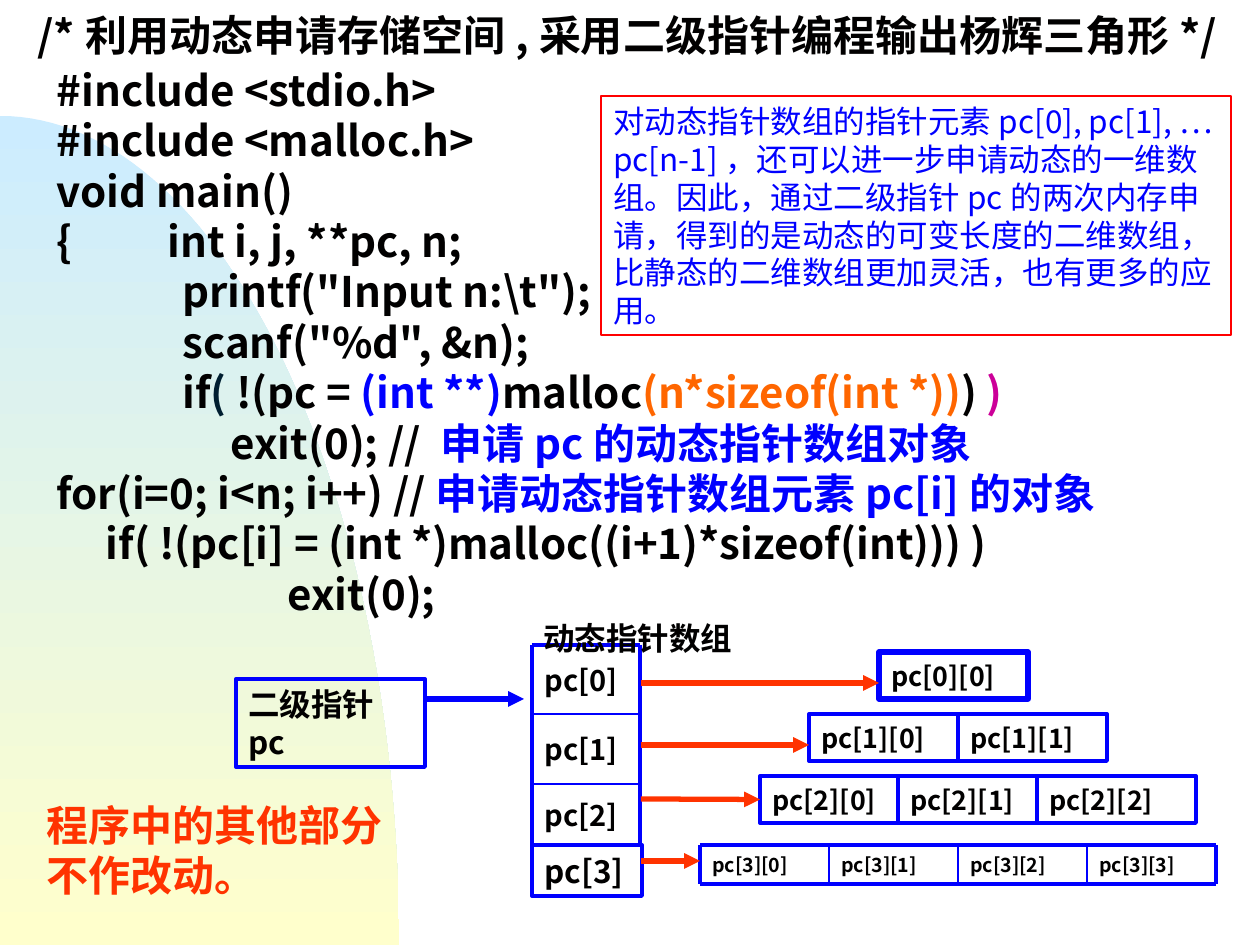
import math

from lxml import etree
from pptx import Presentation
from pptx.dml.color import RGBColor
from pptx.enum.shapes import MSO_CONNECTOR, MSO_SHAPE
from pptx.enum.text import MSO_ANCHOR, MSO_AUTO_SIZE, PP_ALIGN
from pptx.oxml.ns import qn
from pptx.util import Emu, Pt

STRAIGHT = MSO_CONNECTOR.STRAIGHT
RECTANGLE = MSO_SHAPE.RECTANGLE
TOP, MIDDLE = MSO_ANCHOR.TOP, MSO_ANCHOR.MIDDLE
LEFT = PP_ALIGN.LEFT
NO_AUTOFIT = MSO_AUTO_SIZE.NONE
EMU_PER_PX = 914400 / 126
FONT = "Noto Sans CJK SC"
BLACK, BLUE, RED, ORANGE = "010000", "0000FF", "FF3300", "FF6600"

CODE = [
    (0, [("#include <stdio.h>", BLACK)]),
    (0, [("#include <malloc.h>", BLACK)]),
    (0, [("void main()", BLACK)]),
    (0, [("{          int i, j, **pc, n;", BLACK)]),
    (126, [('printf("Input n:\\t");', BLACK)]),
    (126, [('scanf("%d", &n);', BLACK)]),
    (126, [("if", BLACK), ("(", "001E30"), (" !(pc = ", BLACK), ("(int **)", BLUE),
           ("malloc", BLACK), ("(n*sizeof(int *))", ORANGE), (") ", BLACK), (")", "CC0099")]),
    (174, [("exit(0); // ", BLACK), ("申请pc的动态指针数组对象", BLUE)]),
    (0, [("for(i=0; i<n; i++) //", BLACK), ("申请动态指针数组元素pc[i]的对象", BLUE)]),
    (49, [("if( !(pc[i] = (int *)malloc((i+1)*sizeof(int))) )", BLACK)]),
    (231, [("exit(0);", BLACK)]),
]
NOTE = ("对动态指针数组的指针元素pc[0], pc[1], …pc[n-1]，还可以进一步申请动态的一维数组。"
        "因此，通过二级指针pc的两次内存申请，得到的是动态的可变长度的二维数组，"
        "比静态的二维数组更加灵活，也有更多的应用。")


def px(value):
    return Emu(round(value * EMU_PER_PX))


def rgb(color):
    return RGBColor.from_string(color)


def format_paragraph(paragraph, size, colors, bold):
    paragraph.alignment = LEFT
    paragraph.space_before = Pt(0)
    paragraph.line_spacing = Pt(round(size * 1.2, 1))
    for run, color in zip(paragraph.runs, colors):
        run.font.size = Pt(size)
        run.font.bold = bold
        run.font.name = FONT
        run.font.color.rgb = rgb(color)
        etree.SubElement(run.font._element, qn("a:ea")).set("typeface", FONT)


def format_frame(frame, anchor=TOP):
    frame.word_wrap = True
    frame.auto_size = NO_AUTOFIT
    frame.vertical_anchor = anchor


def write(shape, text, size, color=BLACK, bold=True, anchor=TOP):
    shape.text_frame.text = text
    format_frame(shape.text_frame, anchor)
    format_paragraph(shape.text_frame.paragraphs[0], size, [color], bold)


def place(shape, left, top, width, height):
    shape.left, shape.top = px(left), px(top)
    shape.width, shape.height = px(width), px(height)


def add_label(slide, bounds, text, size, color=BLACK, anchor=TOP):
    label = slide.shapes.add_textbox(*map(px, bounds))
    write(label, text, size, color, anchor=anchor)


def add_box(slide, bounds, text, size, outline=BLUE, weight=2.25, color=BLACK,
            bold=True, anchor=MIDDLE):
    box = slide.shapes.add_shape(RECTANGLE, *map(px, bounds))
    box.shadow.inherit = False
    box.fill.background()
    box.line.color.rgb = rgb(outline)
    box.line.width = Pt(weight)
    write(box, text, size, color, bold, anchor)
    return box


def add_line(slide, start, end, color=BLUE, weight=2.25, arrow=False):
    line = slide.shapes.add_connector(STRAIGHT, *map(px, start + end))
    line.line.color.rgb = rgb(color)
    line.line.width = Pt(weight)
    if arrow:
        etree.SubElement(line.line._get_or_add_ln(), qn("a:tailEnd")).set("type", "triangle")
    etree.SubElement(line._element.spPr, qn("a:effectLst"))
    return line


def add_backdrop(slide):
    width, top, bottom, steps = 399, 116, 945, 60
    angles = [math.pi / 2 * step / steps for step in range(1, steps + 1)]
    arc = [(px(width * math.sin(a)), px(bottom - (bottom - top) * math.cos(a))) for a in angles]
    builder = slide.shapes.build_freeform(px(0), px(top))
    builder.add_line_segments(arc + [(px(0), px(bottom))], close=True)
    backdrop = builder.convert_to_shape()
    backdrop.shadow.inherit = False
    backdrop.line.fill.background()
    backdrop.fill.gradient()
    backdrop.fill.gradient_angle = 270
    for stop, color in zip(backdrop.fill.gradient_stops, ("CCECFF", "FFFFCC")):
        stop.color.rgb = rgb(color)
    slide.shapes._spTree.insert(2, backdrop._element)


def fill_code(body):
    place(body, 44, 58, 1160, 617)
    frame = body.text_frame
    frame.text = "\n".join("" for _ in CODE)
    format_frame(frame)
    for paragraph, (indent, pieces) in zip(frame.paragraphs, CODE):
        properties = paragraph._p.get_or_add_pPr()
        properties.set("marL", str(px(indent)))
        properties.set("indent", "0")
        etree.SubElement(properties, qn("a:buNone"))
        for text, _ in pieces:
            paragraph.add_run().text = text
        format_paragraph(paragraph, 24, [color for _, color in pieces], True)


def add_pointer_array(slide):
    left, right = 532, 640
    edges = [645, 714, 784, 845]
    for index, (top, bottom) in enumerate(zip(edges, edges[1:])):
        add_label(slide, (left, top, right - left, bottom - top), f"pc[{index}]", 16.6,
                  anchor=MIDDLE)
    for y in edges:
        add_line(slide, (left, y), (right, y), weight=2.25 if y in (edges[0], edges[-1]) else 1)
    for x in (left, right):
        add_line(slide, (x, edges[0]), (x, edges[-1]))
    add_box(slide, (left, 845, 110, 51), "pc[3]", 18)


def add_boxed_row(slide, row, left, top, widths, weight=2.25):
    boxes = []
    for column, width in enumerate(widths):
        boxes.append(add_box(slide, (left, top, width, 47), f"pc[{row}][{column}]", 15.3,
                             weight=weight))
        left += width
    return boxes


def add_ruled_row(slide, row, left, top, width, height, count):
    right, bottom = left + width * count, top + height
    for column in range(count):
        add_label(slide, (left + column * width, top, width, height), f"pc[{row}][{column}]",
                  11.2, anchor=MIDDLE)
    for y in (top, bottom):
        add_line(slide, (left, y), (right, y))
    for column in range(count + 1):
        x = left + column * width
        add_line(slide, (x, top), (x, bottom), weight=2.25 if column in (0, count) else 1)


def main():
    presentation = Presentation()
    presentation.slide_width, presentation.slide_height = px(1260), px(945)
    slide = presentation.slides.add_slide(presentation.slide_layouts[1])
    title, body = slide.placeholders

    add_backdrop(slide)
    place(title, 25, 3, 1211, 63)
    write(title, "/*利用动态申请存储空间,采用二级指针编程输出杨辉三角形*/", 24)
    fill_code(body)
    add_label(slide, (34, 793, 387, 113), "程序中的其他部分不作改动。", 24, RED)

    add_pointer_array(slide)
    add_boxed_row(slide, 0, 879, 652, [149], weight=3)
    add_boxed_row(slide, 1, 809, 714, [149, 149])
    third_row = add_boxed_row(slide, 2, 760, 776, [138, 139, 159])
    add_ruled_row(slide, 3, 700, 845, 129, 39, 4)
    for y, tip in ((683, 879), (745, 809), (861, 700)):
        add_line(slide, (641, y), (tip, y), RED, 3, arrow=True)
    third_arrow = add_line(slide, (641, 799), (760, 799), RED, 3, arrow=True)
    third_arrow.end_connect(third_row[0], 1)

    add_box(slide, (236, 679, 189, 88), "二级指针pc", 18)
    add_line(slide, (425, 699), (524, 699), BLUE, 3, arrow=True)
    add_label(slide, (531, 613, 228, 50), "动态指针数组", 18)
    add_box(slide, (601, 96, 630, 239), NOTE, 18, "FF0000", 0.75, BLUE, False, TOP)
    presentation.save("out.pptx")


if __name__ == "__main__":
    main()
